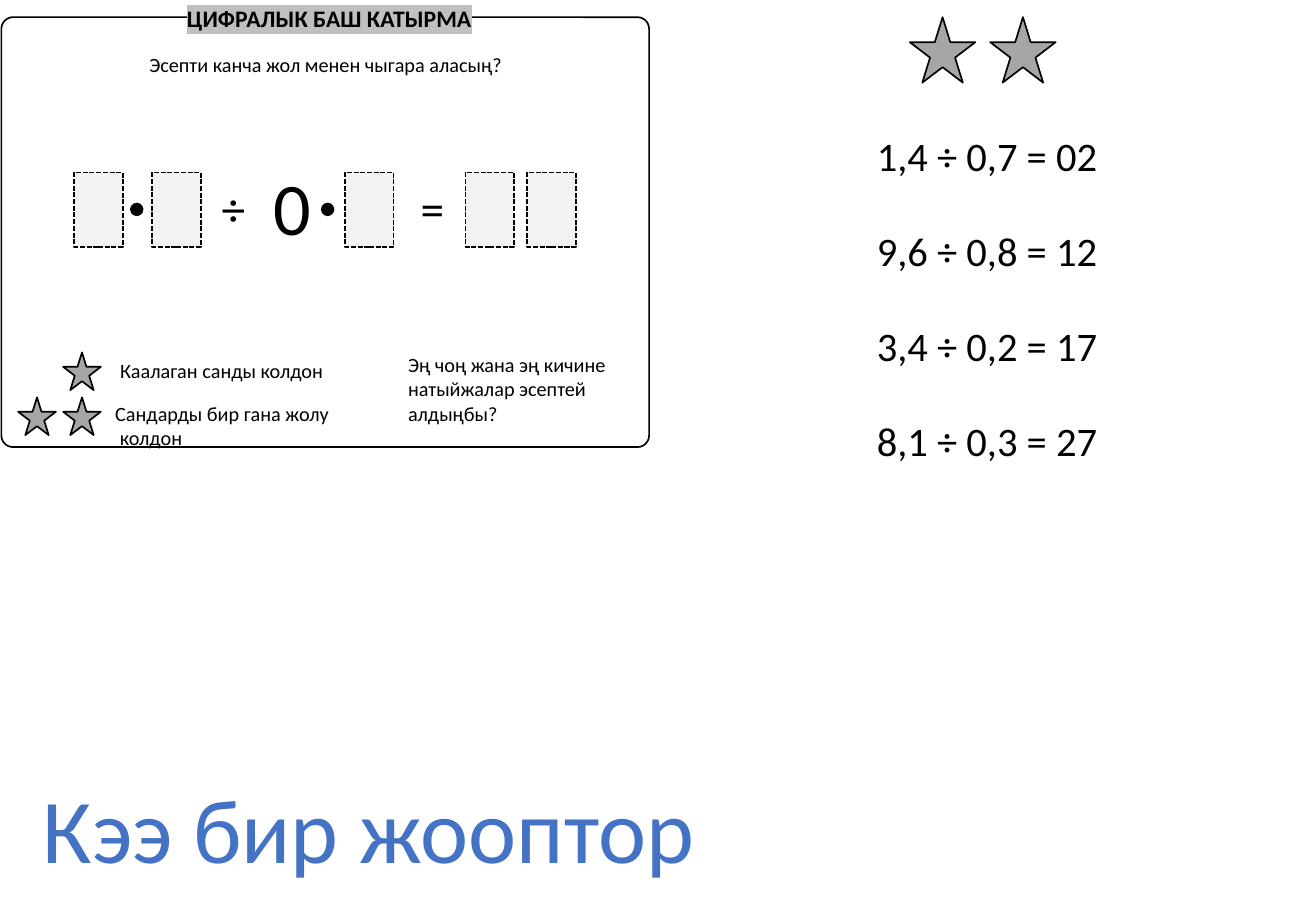
from lxml.etree import SubElement
from pptx import Presentation
from pptx.dml.color import RGBColor
from pptx.enum.dml import MSO_LINE
from pptx.enum.shapes import MSO_SHAPE
from pptx.enum.text import MSO_AUTO_SIZE, PP_ALIGN
from pptx.oxml.ns import qn
from pptx.util import Cm, Pt

COLORS = {"ink": "000000", "star": "A6A6A6", "digit": "F2F2F2",
          "mark": "C0C0C0", "accent": "4472C4"}
STAR, RECT = MSO_SHAPE.STAR_5_POINT, MSO_SHAPE.RECTANGLE


def rgb(name):
    """Return the named colour."""
    return RGBColor.from_string(COLORS[name])


def add_text(s, box, lines, size, color="ink", center=False, bold=None, pad=0.13):
    """Add an unwrapped text box with one paragraph per line and return it."""
    sp = s.shapes.add_textbox(*map(Cm, box))
    tf = sp.text_frame
    frame = {"word_wrap": False, "auto_size": MSO_AUTO_SIZE.SHAPE_TO_FIT_TEXT,
             "margin_top": Cm(pad), "margin_bottom": Cm(pad)}
    for name, value in frame.items():
        setattr(tf, name, value)
    for i, line in enumerate(lines):
        p = tf.paragraphs[0] if i == 0 else tf.add_paragraph()
        p.alignment = PP_ALIGN.CENTER if center else PP_ALIGN.LEFT
        r = p.add_run()
        r.text = line
        for name, value in {"size": Pt(size), "name": "Calibri", "bold": bold}.items():
            setattr(r.font, name, value)
        r.font.color.rgb = rgb(color)
    return sp


def add_figure(s, kind, box, fill=None, line=True, dash=None):
    """Add a flat shape with an optional fill and outline and return it."""
    sp = s.shapes.add_shape(kind, *map(Cm, box))
    sp.shadow.inherit = False
    if fill:
        sp.fill.solid()
        sp.fill.fore_color.rgb = rgb(fill)
    else:
        sp.fill.background()
    if line:
        sp.line.color.rgb = rgb("ink")
        sp.line.width = Pt(1)
        sp.line.dash_style = dash
    else:
        sp.line.fill.background()
    return sp


def highlight(sp, color):
    """Highlight the first run of a text box."""
    r = sp.text_frame.paragraphs[0].runs[0]
    fill = r.font._element.find(qn("a:solidFill"))
    mark = SubElement(r.font._element, qn("a:highlight"))
    SubElement(mark, qn("a:srgbClr"), val=COLORS[color])
    fill.addnext(mark)


def add_equation(s, x, y):
    """Draw the row of digit boxes, decimal points and operators."""
    for dx in (0, 1.63, 5.66, 8.18, 9.47):
        add_figure(s, RECT, (x + dx, y, 1.02, 1.55), "digit", dash=MSO_LINE.SQUARE_DOT)
    for dx in (1.17, 5.16):
        add_figure(s, MSO_SHAPE.OVAL, (x + dx, y + 0.63, 0.28, 0.28), "ink", line=False)
    for dx, sign in ((2.82, "÷"), (6.98, "=")):
        add_text(s, (x + dx, y, 1.02, 1.45), [sign], 28, center=True)
    add_text(s, (x + 3.91, y - 0.36, 1.3, 2.13), ["0"], 44)


def add_legend(s, x, y):
    """Draw the star levels with their rules and the closing question."""
    for dx, dy in ((0.94, 0), (0.94, 0.94), (0, 0.94)):
        add_figure(s, STAR, (x + dx, y + dy, 0.79, 0.79), "star")
    add_text(s, (x + 1.88, y, 4.8, 0.76), ["Каалаган санды колдон"], 12)
    add_text(s, (x + 1.78, y + 0.89, 5.03, 1.27),
             ["Сандарды бир гана жолу", " колдон"], 12)
    add_text(s, (x + 7.9, y - 0.13, 4.8, 1.8),
             ["Эң чоң жана эң кичине", "натыйжалар эсептей", "алдыңбы?"], 12)


def add_card(s, x, y, w, h):
    """Draw the puzzle card inside the given box."""
    card = add_figure(s, MSO_SHAPE.ROUNDED_RECTANGLE, (x, y, w, h))
    card.adjustments[0] = 0.027
    title = add_text(s, (x + 3.63, y - 0.28, 6.5, 0.61), ["ЦИФРАЛЫК БАШ КАТЫРМА"],
                     14, bold=True, pad=0)
    highlight(title, "mark")
    add_text(s, (x + 2.79, y + 0.61, 7.98, 0.76),
             ["Эсепти канча жол менен чыгара аласың?"], 12, center=True)
    add_equation(s, x + 1.52, y + 3.25)
    add_legend(s, x + 0.35, y + 7.01)


def add_answers(s, x, y, w):
    """Draw the two level stars above the column of sample answers."""
    for i in range(2):
        add_figure(s, STAR, (x + 0.94 + 1.68 * i, y, 1.37, 1.37), "star")
    answers = ("1,4 ÷ 0,7 = 02", "9,6 ÷ 0,8 = 12", "3,4 ÷ 0,2 = 17", "8,1 ÷ 0,3 = 27")
    for i, answer in enumerate(answers):
        add_text(s, (x, y + 2.26 + 1.98 * i, w, 1.27), [answer], 24)


def main():
    """Build the slide and save it."""
    prs = Presentation()
    prs.slide_width, prs.slide_height = Cm(27.51), Cm(19.05)
    s = prs.slides.add_slide(prs.slide_layouts[6])
    add_card(s, 0.03, 0.36, 13.54, 8.99)
    add_answers(s, 18.08, 0.36, 5.16)
    add_text(s, (0.56, 16.03, 14.3, 2.57), ["Кээ бир жооптор"], 54, "accent", center=True)
    prs.save("out.pptx")


if __name__ == "__main__":
    main()
